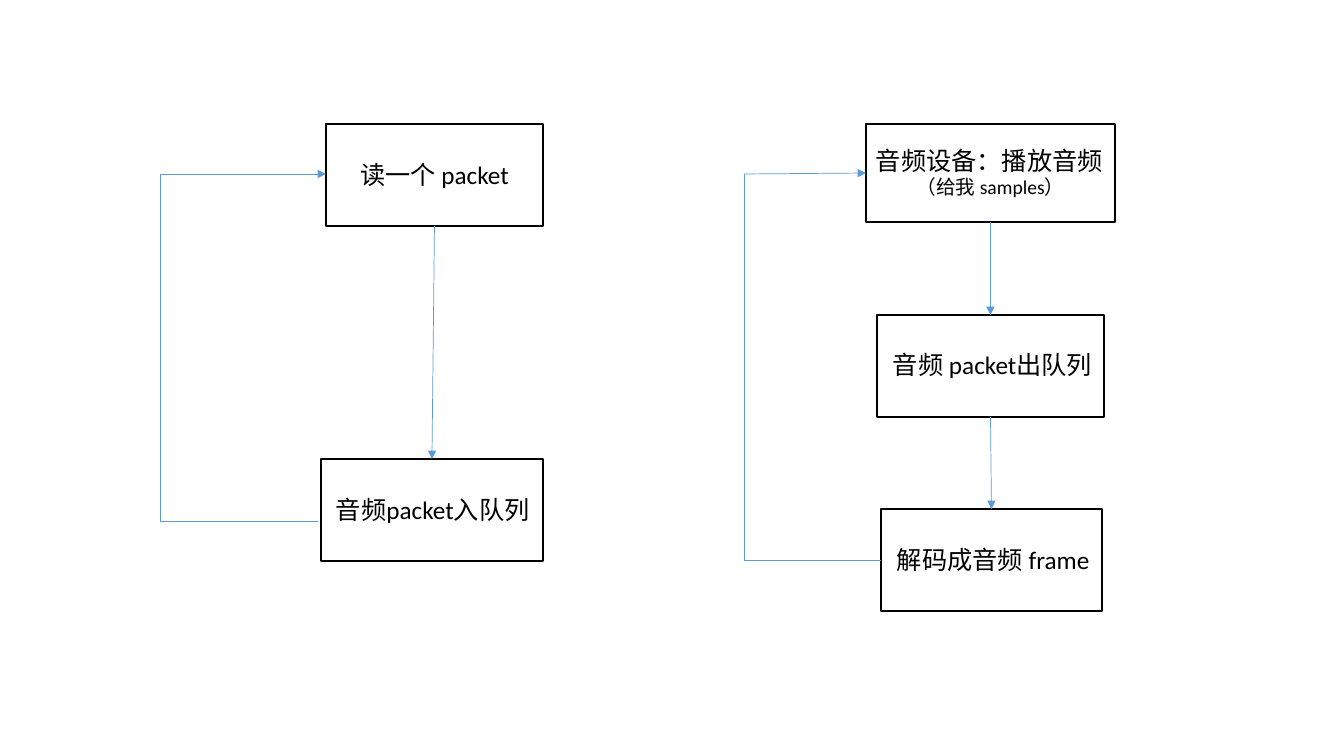
from dataclasses import dataclass
from typing import Optional

from lxml import etree
from pptx import Presentation
from pptx.dml.color import RGBColor
from pptx.enum.shapes import MSO_CONNECTOR, MSO_SHAPE
from pptx.enum.text import MSO_ANCHOR, PP_ALIGN
from pptx.oxml.ns import qn
from pptx.shapes.autoshape import Shape
from pptx.shapes.connector import Connector
from pptx.slide import Slide
from pptx.util import Emu, Pt

STRAIGHT, ELBOW = MSO_CONNECTOR.STRAIGHT, MSO_CONNECTOR.ELBOW
RECTANGLE = MSO_SHAPE.RECTANGLE
LEFT, CENTER = PP_ALIGN.LEFT, PP_ALIGN.CENTER
TOP_ANCHOR = MSO_ANCHOR.TOP

PX_PER_INCH = 100.8
FONT = "Calibri"
BLACK, WHITE, BLUE = "000000", "FFFFFF", "5B9BD5"
TOP, LEFT_SIDE, BOTTOM = 0, 1, 2


@dataclass(frozen=True)
class TextLine:
    text: str
    size: int = 18
    align: PP_ALIGN = LEFT
    indent: int = 0


@dataclass(frozen=True)
class Box:
    key: str
    left: int
    top: int
    width: int
    height: int
    lines: tuple[TextLine, ...]
    text_top: int = 36


@dataclass(frozen=True)
class Link:
    """A straight line; a box key and side override the matching point."""
    begin: tuple[int, int] = (0, 0)
    end: tuple[int, int] = (0, 0)
    begin_at: Optional[tuple[str, int]] = None
    end_at: Optional[tuple[str, int]] = None
    arrow: bool = True


BOXES = (
    Box("read", 326, 124, 217, 102, (TextLine("读一个 packet", align=CENTER),), text_top=35),
    Box("enqueue", 321, 459, 222, 102, (TextLine("音频packet入队列", indent=5),), text_top=35),
    Box("device", 866, 124, 249, 98,
        (TextLine("音频设备：播放音频"),
         TextLine("（给我 samples）", size=14, align=CENTER)), text_top=21),
    Box("dequeue", 877, 315, 227, 102, (TextLine("音频 packet出队列", indent=6),), text_top=34),
    Box("decode", 881, 509, 221, 102, (TextLine("解码成音频 frame", indent=6),), text_top=35),
)

LINKS = (
    Link(begin_at=("read", BOTTOM), end_at=("enqueue", TOP)),
    Link(begin_at=("device", BOTTOM), end_at=("dequeue", TOP)),
    Link(begin_at=("dequeue", BOTTOM), end_at=("decode", TOP)),
    Link(begin=(160, 521), end=(318, 521), arrow=False),
    Link(begin_at=("decode", LEFT_SIDE), end=(744, 560), arrow=False),
    Link(begin=(744, 560), end=(744, 174), arrow=False),
    Link(begin=(744, 174), end_at=("device", LEFT_SIDE)),
)


def px(length: float) -> Emu:
    return Emu(round(length * 914400 / PX_PER_INCH))


def color(value: str) -> RGBColor:
    return RGBColor.from_string(value)


def write_line(paragraph, text: str, *, size: int, align: PP_ALIGN, indent: int) -> None:
    paragraph.alignment = align
    if indent:
        paragraph._p.get_or_add_pPr().set("indent", str(px(indent)))
    run = paragraph.add_run()
    run.text = text
    run.font.name = FONT
    run.font.size = Pt(size)
    run.font.color.rgb = color(BLACK)


def add_box(slide: Slide, box: Box) -> Shape:
    shape = slide.shapes.add_shape(
        RECTANGLE, px(box.left), px(box.top), px(box.width), px(box.height))
    shape.shadow.inherit = False
    shape.fill.solid()
    shape.fill.fore_color.rgb = color(WHITE)
    shape.line.color.rgb = color(BLACK)
    shape.line.width = Pt(1)
    frame = shape.text_frame
    frame.word_wrap = True
    frame.vertical_anchor = TOP_ANCHOR
    frame.margin_left = frame.margin_right = px(10)
    frame.margin_top = px(box.text_top)
    frame.margin_bottom = 0
    for index, line in enumerate(box.lines):
        paragraph = frame.add_paragraph() if index else frame.paragraphs[0]
        write_line(paragraph, line.text, size=line.size,
                   align=line.align, indent=line.indent)
    return shape


def add_line(slide: Slide, kind: MSO_CONNECTOR, begin: tuple[float, float],
             end: tuple[float, float], arrow: bool) -> Connector:
    connector = slide.shapes.add_connector(kind, *map(px, begin + end))
    connector.line.color.rgb = color(BLUE)
    connector.line.width = Pt(0.5)
    if arrow:
        outline = connector.line._get_or_add_ln()
        etree.SubElement(outline, qn("a:tailEnd"), type="triangle")
    etree.SubElement(connector._element.spPr, qn("a:effectLst"))
    return connector


def add_link(slide: Slide, link: Link, shapes: dict[str, Shape]) -> None:
    connector = add_line(slide, STRAIGHT, link.begin, link.end, link.arrow)
    if link.begin_at:
        key, side = link.begin_at
        connector.begin_connect(shapes[key], side)
    if link.end_at:
        key, side = link.end_at
        connector.end_connect(shapes[key], side)


def add_corner_arrow(slide: Slide, begin: tuple[int, int], end: tuple[int, int]) -> None:
    """Draw an arrow that goes straight up, then right, as a turned one-bend connector."""
    center_x, center_y = (begin[0] + end[0]) / 2, (begin[1] + end[1]) / 2
    half_run, half_rise = (end[0] - begin[0]) / 2, (begin[1] - end[1]) / 2
    connector = add_line(slide, ELBOW,
                         (center_x + half_rise, center_y + half_run),
                         (center_x - half_rise, center_y - half_run), True)
    properties = connector._element.spPr
    properties.find(qn("a:xfrm")).set("rot", str(90 * 60000))
    properties.find(qn("a:prstGeom")).set("prst", "bentConnector2")


def main() -> None:
    presentation = Presentation()
    presentation.slide_width, presentation.slide_height = px(1344), px(756)
    slide = presentation.slides.add_slide(presentation.slide_layouts[6])
    shapes = {box.key: add_box(slide, box) for box in BOXES}
    for link in LINKS:
        add_link(slide, link, shapes)
    add_corner_arrow(slide, (160, 521), (326, 174))
    presentation.save("out.pptx")


if __name__ == "__main__":
    main()
